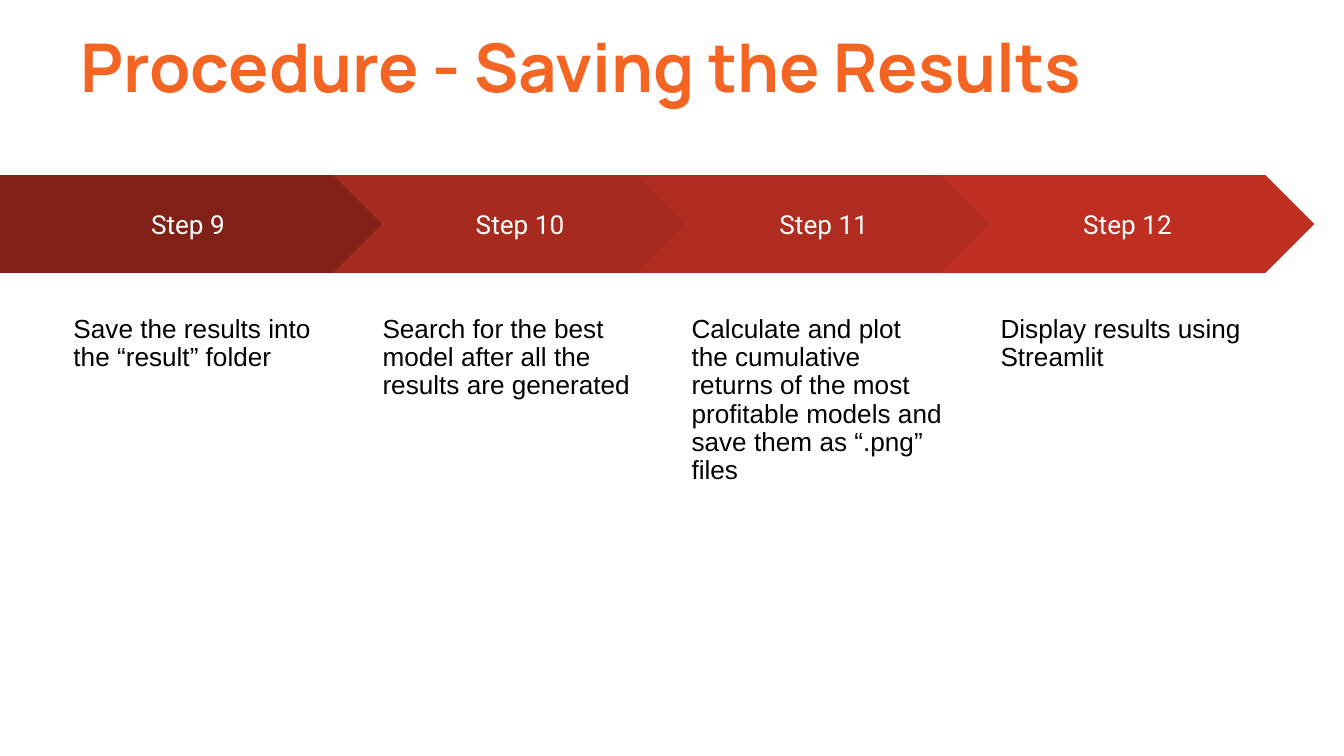
from pptx import Presentation
from pptx.dml.color import RGBColor
from pptx.enum.shapes import MSO_SHAPE
from pptx.enum.text import MSO_ANCHOR, PP_ALIGN
from pptx.util import Cm, Pt

PLATE, CHEVRON = MSO_SHAPE.PENTAGON, MSO_SHAPE.CHEVRON
TOP, MIDDLE = MSO_ANCHOR.TOP, MSO_ANCHOR.MIDDLE
LEFT, CENTER = PP_ALIGN.LEFT, PP_ALIGN.CENTER

STEPS = [
    ("Step 9", "802017", "Save the results into the “result” folder"),
    ("Step 10", "A72A1E",
     "Search for the best model after all the results are generated"),
    ("Step 11", "B02C20",
     "Calculate and plot the cumulative returns of the most profitable "
     "models and save them as “.png” files"),
    ("Step 12", "BE2F22", "Display results using Streamlit"),
]


def color(code):
    return RGBColor.from_string(code)


def assign(item, values):
    for name, value in values.items():
        setattr(item, name, value)


class Deck:
    """Holds the text styles and the current slide."""

    inset = Cm(0.25)
    title = {"font": {"name": "Manrope", "size": Pt(36), "bold": True},
             "ink": "F46524", "anchor": TOP,
             "para": {"alignment": LEFT, "space_after": Pt(16)}}
    label = {"font": {"name": "Roboto", "size": Pt(14)},
             "ink": "FFFFFF", "anchor": MIDDLE,
             "para": {"alignment": CENTER}}
    body = {"font": {"name": "Arial", "size": Pt(14)},
            "ink": "000000", "anchor": TOP,
            "para": {"alignment": LEFT, "line_spacing": 0.9,
                     "space_before": Pt(10)}}

    def __init__(self, slide):
        self.slide = slide

    def letter(self, shape, text, style):
        """Put styled text into a shape."""
        frame = shape.text_frame
        assign(frame, {"word_wrap": True, "vertical_anchor": style["anchor"],
                       "margin_left": self.inset, "margin_right": self.inset,
                       "margin_top": self.inset, "margin_bottom": self.inset})
        para = frame.paragraphs[0]
        assign(para, style["para"])
        run = para.add_run()
        run.text = text
        assign(run.font, style["font"])
        run.font.color.rgb = color(style["ink"])

    def text(self, box, text, style):
        shape = self.slide.shapes.add_textbox(*map(Cm, box))
        self.letter(shape, text, style)

    def arrow(self, kind, box, text, fill):
        shape = self.slide.shapes.add_shape(kind, *map(Cm, box))
        shape.adjustments[0] = 0.5
        shape.shadow.inherit = False
        shape.fill.solid()
        shape.fill.fore_color.rgb = color(fill)
        shape.line.fill.background()
        self.letter(shape, text, self.label)


def main():
    show = Presentation()
    show.slide_width, show.slide_height = Cm(25.4), Cm(14.29)
    deck = Deck(show.slides.add_slide(show.slide_layouts[6]))

    deck.text((1.27, 0.23, 23.22, 2.13), "Procedure - Saving the Results",
              deck.title)
    for i, (name, fill, note) in enumerate(STEPS):
        if i == 0:
            kind, left, width = PLATE, 0, 7.57
        else:
            kind, left, width = CHEVRON, 6.3 + 5.74 * (i - 1), 7.06
        deck.arrow(kind, (left, 3.31, width, 1.85), name, fill)
        deck.text((1.14 + 5.84 * i, 5.72, 5.28, 7.26), note, deck.body)

    show.save("out.pptx")


if __name__ == "__main__":
    main()
